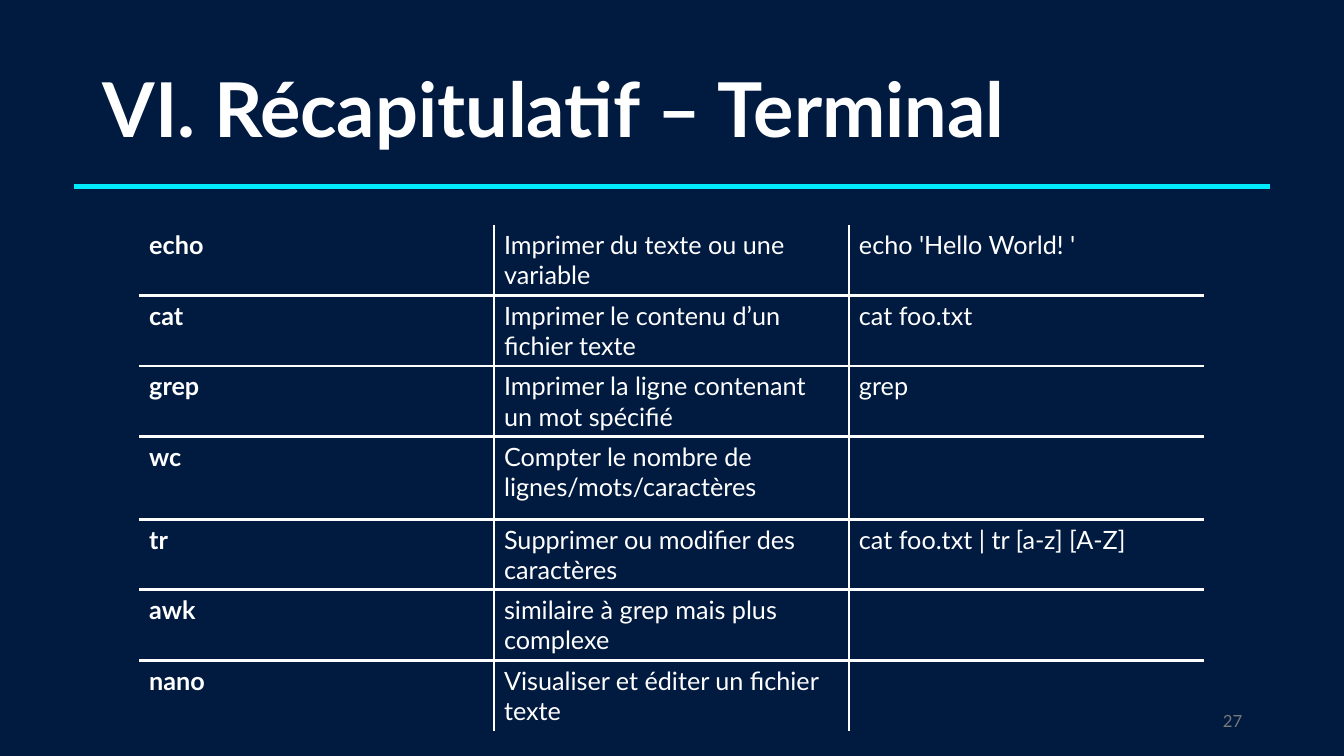
from lxml.etree import SubElement
from pptx import Presentation
from pptx.dml.color import RGBColor
from pptx.enum.shapes import MSO_CONNECTOR
from pptx.enum.text import MSO_ANCHOR, MSO_AUTO_SIZE, PP_ALIGN
from pptx.oxml.ns import qn
from pptx.util import Emu, Pt

PX = 9144
COMMANDS = [
    ("echo", "Imprimer du texte ou une variable", "echo 'Hello World! '"),
    ("cat", "Imprimer le contenu d’un fichier texte", "cat foo.txt"),
    ("grep", "Imprimer la ligne contenant un mot spécifié", "grep"),
    ("wc", "Compter le nombre de lignes/mots/caractères", ""),
    ("tr", "Supprimer ou modifier des caractères", "cat foo.txt | tr [a-z] [A-Z]"),
    ("awk", "similaire à grep mais plus complexe", ""),
    ("nano", "Visualiser et éditer un fichier texte", ""),
]
ROW_HEIGHTS = [60, 60, 61, 82, 61, 61, 61]


def px(length):
    return Emu(length * PX)


def color(value):
    return RGBColor.from_string(value)


def apply(target, values):
    for name, value in values.items():
        setattr(target, name, value)


class Page:
    font = "Lato"
    background = "001A40"
    white = "FFFFFF"
    accent = "00EBFF"
    muted = "797979"
    rule = 2.25

    def __init__(self, deck):
        self.slide = deck.slides.add_slide(deck.slide_layouts[5])
        fill = self.slide.background.fill
        fill.solid()
        fill.fore_color.rgb = color(self.background)

    def text(self, frame, text, size, tint, bold=False, **paragraph):
        para = frame.paragraphs[0]
        apply(para, paragraph)
        span = para.add_run()
        span.text = text
        apply(span.font, {"name": self.font, "size": Pt(size), "bold": bold})
        span.font.color.rgb = color(tint)

    def frame(self, box):
        apply(box.text_frame, {
            "word_wrap": True,
            "auto_size": MSO_AUTO_SIZE.NONE,
            "vertical_anchor": MSO_ANCHOR.MIDDLE,
        })
        return box.text_frame

    def title(self, text, left, top, width, height):
        box = self.slide.shapes.title
        apply(box, {"left": px(left), "top": px(top),
                    "width": px(width), "height": px(height)})
        self.text(self.frame(box), text, 54, self.white, True,
                  alignment=PP_ALIGN.LEFT, line_spacing=0.9)

    def number(self, text, left, top, width, height):
        box = self.slide.shapes.add_textbox(px(left), px(top), px(width), px(height))
        self.text(self.frame(box), text, 12, self.muted, alignment=PP_ALIGN.RIGHT)

    def line(self, left, right, top):
        line = self.slide.shapes.add_connector(
            MSO_CONNECTOR.STRAIGHT, px(left), px(top), px(right), px(top))
        line.line.color.rgb = color(self.accent)
        line.line.width = Pt(3.75)
        SubElement(line._element.spPr, qn("a:effectLst"))

    def borders(self, cell, edges):
        properties = cell._tc.get_or_add_tcPr()
        for side, visible in edges.items():
            edge = SubElement(properties, qn(f"a:ln{side}"), w=str(Pt(self.rule)))
            if visible:
                fill = SubElement(edge, qn("a:solidFill"))
                SubElement(fill, qn("a:srgbClr"), val=self.white)
            else:
                SubElement(edge, qn("a:noFill"))

    def table(self, rows, heights, left, top, column_width):
        count = len(rows[0])
        table = self.slide.shapes.add_table(
            len(rows), count, px(left), px(top),
            px(column_width * count), px(sum(heights))).table
        apply(table, {"first_row": False, "horz_banding": False})
        for column in table.columns:
            column.width = px(column_width)
        for r, (texts, height) in enumerate(zip(rows, heights)):
            table.rows[r].height = px(height)
            for c, text in enumerate(texts):
                cell = table.cell(r, c)
                self.borders(cell, {"L": c > 0, "R": c < count - 1,
                                    "T": r > 0, "B": r < len(rows) - 1})
                cell.fill.background()
                if text:
                    self.text(cell.text_frame, text, 18, self.white, c == 0)


def main():
    deck = Presentation()
    apply(deck, {"slide_width": px(1333), "slide_height": px(750)})
    page = Page(deck)
    page.title("VI. Récapitulatif – Terminal", 92, 40, 1150, 145)
    page.line(73, 1260, 185)
    page.table(COMMANDS, ROW_HEIGHTS, 138, 223, 352)
    page.number("27", 942, 695, 300, 40)
    deck.save("out.pptx")


if __name__ == "__main__":
    main()
